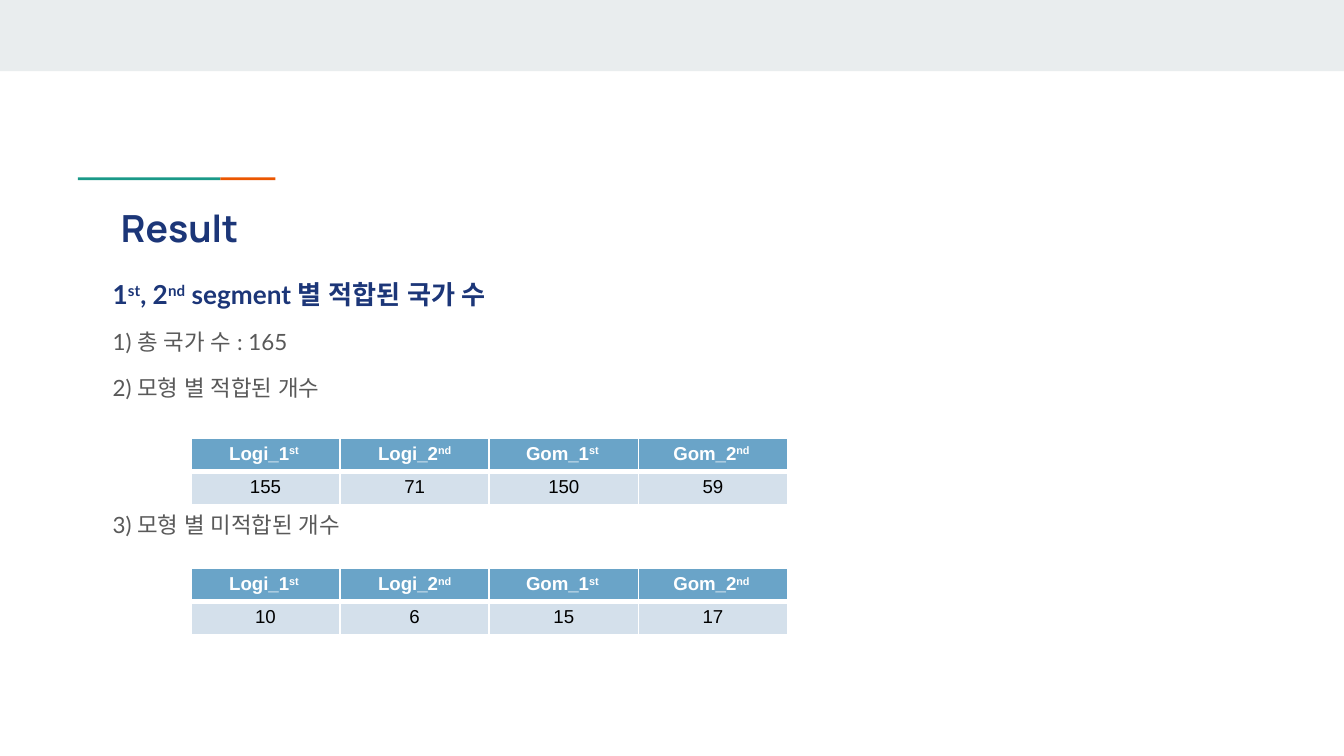
from dataclasses import dataclass

from lxml import etree
from pptx import Presentation
from pptx.dml.color import RGBColor
from pptx.enum.shapes import MSO_SHAPE
from pptx.enum.text import MSO_ANCHOR, PP_ALIGN
from pptx.oxml.ns import qn
from pptx.util import Inches, Pt

RECTANGLE = MSO_SHAPE.RECTANGLE
TOP = MSO_ANCHOR.TOP
LEFT, CENTER = PP_ALIGN.LEFT, PP_ALIGN.CENTER
TITLE_ONLY = 5


@dataclass(frozen=True)
class Theme:
    navy: str = "1C3678"
    gray: str = "595959"
    white: str = "FFFFFF"
    black: str = "000000"
    band: str = "E9EDEE"
    teal: str = "1A9988"
    orange: str = "EB5600"
    header: str = "6AA4C8"
    cell: str = "D4E0EB"
    title_font: str = "Manrope"
    body_font: str = "Lato"
    table_font: str = "Arial"
    title_size: int = 20
    heading_size: int = 14
    item_size: int = 12
    table_size: int = 10


@dataclass(frozen=True)
class Bar:
    left: float
    top: float
    width: float
    height: float
    color: str


@dataclass(frozen=True)
class Line:
    pieces: list  # every second piece is superscript
    size: int
    color: str
    bold: bool
    space_before: float


@dataclass(frozen=True)
class CountTable:
    top: float
    counts: list


THEME = Theme()
BARS = [
    Bar(0, 0, 10, 0.53, THEME.band),
    Bar(0.58, 1.32, 1.06, 0.02, THEME.teal),
    Bar(1.64, 1.32, 0.41, 0.02, THEME.orange),
]
LINES = [
    Line(["1", "st", ", 2", "nd", " segment 별 적합된 국가 수"],
         THEME.heading_size, THEME.navy, True, 0),
    Line(["1) 총 국가 수 : 165"], THEME.item_size, THEME.gray, False, 10),
    Line(["2) 모형 별 적합된 개수"], THEME.item_size, THEME.gray, False, 10),
    # Leaves room for the first table
    Line(["3) 모형 별 미적합된 개수"], THEME.item_size, THEME.gray, False, 59),
]
MODELS = [["Logi_1", "st "], ["Logi_2", "nd"], ["Gom_1", "st "], ["Gom_2", "nd "]]
TABLES = [
    CountTable(3.26, [155, 71, 150, 59]),
    CountTable(4.23, [10, 6, 15, 17]),
]


def write(para, pieces: list, font: str, size: int, color: str, bold: bool) -> None:
    """Fill a paragraph; every second piece is raised."""
    para.font.name = font
    para.font.size = Pt(size)
    para.font.bold = bold
    para.font.color.rgb = RGBColor.from_string(color)
    for index, piece in enumerate(pieces):
        span = para.add_run()
        span.text = piece
        properties = span._r.get_or_add_rPr()
        etree.SubElement(properties, qn("a:ea"), typeface=font)
        if index % 2:
            properties.set("baseline", "30000")


def set_margins(frame) -> None:
    frame.margin_left = frame.margin_right = Inches(0.1)
    frame.margin_top = frame.margin_bottom = Inches(0.1)
    frame.vertical_anchor = TOP
    frame.word_wrap = True


def add_bar(page, bar: Bar) -> None:
    shape = page.shapes.add_shape(RECTANGLE, Inches(bar.left), Inches(bar.top),
                                  Inches(bar.width), Inches(bar.height))
    shape.shadow.inherit = False
    shape.fill.solid()
    shape.fill.fore_color.rgb = RGBColor.from_string(bar.color)
    shape.line.fill.background()


def add_title(page, text: str) -> None:
    title = page.shapes.title
    title.left, title.top = Inches(0.8), Inches(1.43)
    title.width, title.height = Inches(8.41), Inches(0.59)
    set_margins(title.text_frame)
    para = title.text_frame.paragraphs[0]
    para.alignment = LEFT
    write(para, [text], THEME.title_font, THEME.title_size, THEME.navy, True)


def add_body(page, lines: list) -> None:
    box = page.shapes.add_textbox(Inches(0.74), Inches(1.97), Inches(7.19), Inches(2.2))
    frame = box.text_frame
    set_margins(frame)
    for index, line in enumerate(lines):
        para = frame.add_paragraph() if index else frame.paragraphs[0]
        para.space_before = Pt(line.space_before)
        write(para, line.pieces, THEME.body_font, line.size, line.color, line.bold)


def set_borders(cell, top: float, bottom: float) -> None:
    properties = cell._tc.get_or_add_tcPr()
    widths = {"a:lnL": 1, "a:lnR": 1, "a:lnT": top, "a:lnB": bottom}
    for index, (tag, width) in enumerate(widths.items()):
        border = etree.Element(qn(tag), w=str(Pt(width)))
        fill = etree.SubElement(border, qn("a:solidFill"))
        etree.SubElement(fill, qn("a:srgbClr"), val=THEME.white)
        properties.insert(index, border)


def add_count_table(page, item: CountTable) -> None:
    rows = [MODELS, [[str(count)] for count in item.counts]]
    styles = [(THEME.header, THEME.white, True, 1, 3),
              (THEME.cell, THEME.black, False, 3, 1)]
    table = page.shapes.add_table(len(rows), len(MODELS), Inches(1.42),
                                  Inches(item.top), Inches(4.44),
                                  Inches(0.44)).table
    for row, (texts, style) in enumerate(zip(rows, styles)):
        fill, color, bold, top, bottom = style
        for column, pieces in enumerate(texts):
            cell = table.cell(row, column)
            cell.margin_top = cell.margin_bottom = Inches(0.04)
            cell.fill.solid()
            cell.fill.fore_color.rgb = RGBColor.from_string(fill)
            set_borders(cell, top, bottom)
            para = cell.text_frame.paragraphs[0]
            para.alignment = CENTER
            write(para, pieces, THEME.table_font, THEME.table_size, color, bold)


def main() -> None:
    deck = Presentation()
    # Widescreen, 16 to 9
    deck.slide_width = Inches(10)
    deck.slide_height = deck.slide_width * 9 // 16
    page = deck.slides.add_slide(deck.slide_layouts[TITLE_ONLY])

    # Top band and accent line
    for bar in BARS:
        add_bar(page, bar)

    # Title and findings
    add_title(page, "Result")
    add_body(page, LINES)

    # Fitted and unfitted counts
    for count_table in TABLES:
        add_count_table(page, count_table)

    deck.save("out.pptx")


if __name__ == "__main__":
    main()
